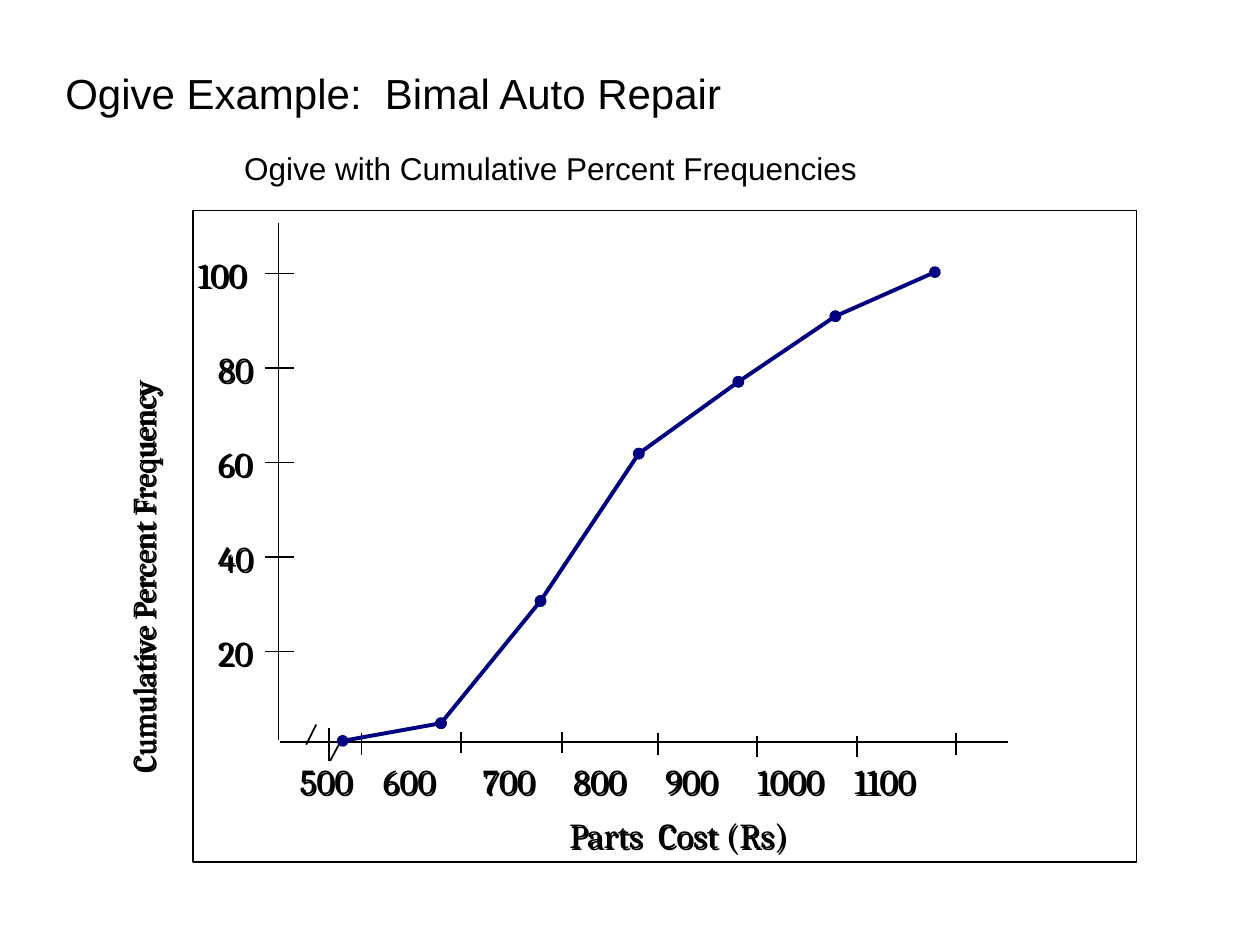
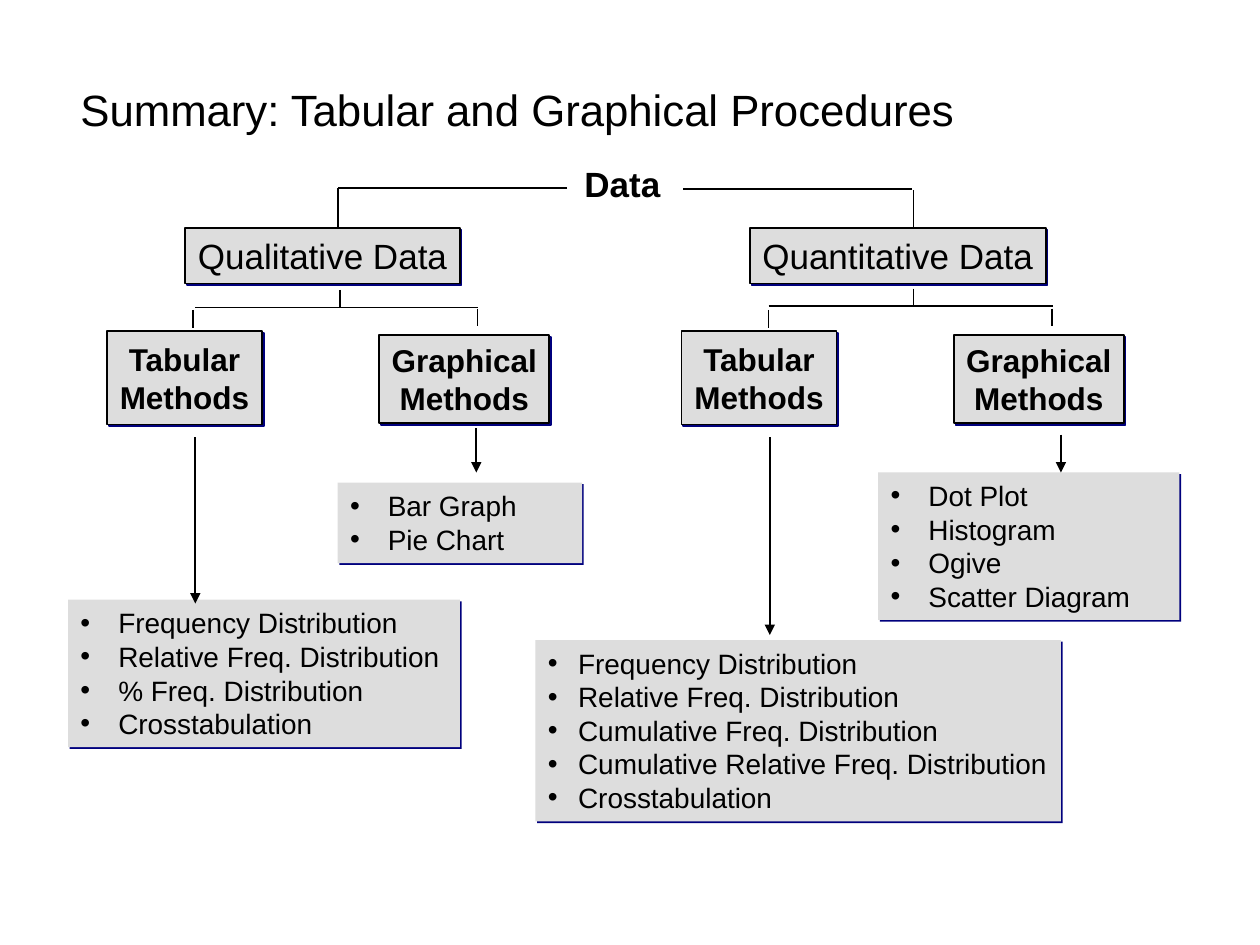
from pptx import Presentation
from pptx.dml.color import RGBColor
from pptx.enum.shapes import MSO_CONNECTOR, MSO_SHAPE
from pptx.enum.text import MSO_ANCHOR as Anchor, PP_ALIGN as Align
from pptx.oxml.ns import qn
from pptx.util import Inches, Pt
from lxml.etree import SubElement

BLACK = RGBColor(0x00, 0x00, 0x00)
NAVY = RGBColor(0x00, 0x00, 0x80)
SHADOW_NAVY = RGBColor(0x00, 0x00, 0x7D)
GREY = RGBColor(0xDD, 0xDD, 0xDD)
SANS, SERIF = "Arial", "Cambria"

# Ogive slide: content
OGIVE_TITLE = "Ogive Example:  Bimal Auto Repair"
OGIVE_SUBTITLE = "Ogive with Cumulative Percent Frequencies"
COST_TITLE = "Parts  Cost (Rs)"
FREQUENCY_TITLE = "Cumulative Percent Frequency"
PERCENTS = ["20", "40", "60", "80", "100"]
PERCENT_BOTTOM, PERCENT_STEP = 5.17, 0.75
COSTS = ["500", "600", "700", "800", "900", "1000", "1100"]
COST_STOPS = [0.66, 1.45, 2.17, 2.90, 3.63, 4.40]
COST_TICKS = [(2.87, 5.82), (3.66, 5.81), (4.46, 5.81), (5.22, 5.82),
              (6.01, 5.84), (6.80, 5.84), (7.59, 5.82)]
AXES = [(2.22, 5.89, 8.00, 5.89), (2.21, 5.87, 2.21, 1.77)]
AXIS_BREAK = [(2.43, 5.91, 2.51, 5.75), (2.62, 6.04, 2.70, 5.89),
              (2.61, 5.78, 2.61, 6.04)]
OGIVE_POINTS = [(2.72, 5.88), (3.50, 5.74), (4.29, 4.77), (5.07, 3.60),
                (5.86, 3.03), (6.63, 2.51), (7.42, 2.16)]

# Summary slide: content
SUMMARY_TITLE = "Summary: Tabular and Graphical Procedures"
DATA_TYPES = [("Qualitative Data", (1.47, 1.81, 2.18, 0.44)),
              ("Quantitative Data", (5.95, 1.81, 2.35, 0.44))]
METHODS = [("Tabular\nMethods", (0.85, 2.63, 1.23, 0.74)),
           ("Graphical\nMethods", (3.01, 2.66, 1.35, 0.70))]
METHODS_SHIFT = 4.56  # from the qualitative to the quantitative branch
# items, box, hanging indent
PROCEDURES = [
    (["Frequency Distribution", "Relative Freq. Distribution",
      "% Freq. Distribution", "Crosstabulation"],
     (0.54, 4.76, 3.11, 1.17), 0.3),
    (["Bar Graph", "Pie Chart"], (2.68, 3.83, 1.94, 0.64), 0.3),
    (["Frequency Distribution", "Relative Freq. Distribution",
      "Cumulative Freq. Distribution",
      "Cumulative Relative Freq. Distribution", "Crosstabulation"],
     (4.25, 5.08, 4.17, 1.44), 0.24),
    (["Dot Plot", "Histogram", "Ogive", "Scatter Diagram"],
     (6.97, 3.75, 2.39, 1.17), 0.3),
]
ARROWS = [(1.55, 3.47, 4.79), (6.11, 3.47, 5.04),
          (8.42, 3.45, 3.75), (3.78, 3.40, 3.75)]  # x, top, bottom
BRANCHES = [
    (4.50, 1.49, 2.68, 1.49), (2.68, 1.49, 2.68, 1.80),
    (7.24, 1.50, 5.42, 1.50), (7.25, 1.51, 7.25, 1.81),
    (2.70, 2.30, 2.70, 2.44), (7.25, 2.29, 7.25, 2.43),
    (1.55, 2.44, 3.79, 2.44), (6.10, 2.43, 8.36, 2.43),
    (1.53, 2.46, 1.53, 2.60), (3.79, 2.45, 3.79, 2.59),
    (6.10, 2.46, 6.10, 2.60), (8.35, 2.45, 8.35, 2.59),
]


def inches(box):
    return [Inches(length) for length in box]


def cast_shadow(shape, color):
    shape.shadow.inherit = False
    effects = shape._element.spPr.find(qn("a:effectLst"))
    outer = SubElement(effects, qn("a:outerShdw"), dist=str(Pt(1.4)),
                       dir="2700000", algn="ctr", rotWithShape="0")
    SubElement(outer, qn("a:srgbClr"), val=str(color))


def write(shape, text, size, font=SANS, bold=False, align=Align.LEFT,
          anchor=Anchor.TOP, wrap=True):
    frame = shape.text_frame
    frame.text = text
    frame.word_wrap = wrap
    frame.vertical_anchor = anchor
    for paragraph in frame.paragraphs:
        paragraph.alignment = align
        for run in paragraph.runs:
            run.font.size = Pt(size)
            run.font.name = font
            run.font.bold = bold
            run.font.color.rgb = BLACK


def add_label(slide, text, box, size, **style):
    label = slide.shapes.add_textbox(*inches(box))
    write(label, text, size, **style)
    return label


def add_axis_label(slide, text, box, size=20, wrap=True):
    label = add_label(slide, text, box, size, font=SERIF, wrap=wrap)
    cast_shadow(label, BLACK)
    return label


def add_title(slide, text, box, size):
    add_label(slide, text, box, size, anchor=Anchor.MIDDLE)


def add_box(slide, box, fill=None, outlined=True):
    panel = slide.shapes.add_shape(MSO_SHAPE.RECTANGLE, *inches(box))
    panel.shadow.inherit = False
    if fill is None:
        panel.fill.background()
    else:
        panel.fill.solid()
        panel.fill.fore_color.rgb = fill
        cast_shadow(panel, SHADOW_NAVY)
    if outlined:
        panel.line.color.rgb = BLACK
        panel.line.width = Pt(1)
    else:
        panel.line.fill.background()
    return panel


def add_line(slide, ends, color=BLACK, width=1, head=None, tail=None):
    line = slide.shapes.add_connector(MSO_CONNECTOR.STRAIGHT, *inches(ends))
    line.line.color.rgb = color
    line.line.width = Pt(width)
    outline = line.line._get_or_add_ln()
    for tag, kind in (("a:headEnd", head), ("a:tailEnd", tail)):
        if kind:
            SubElement(outline, qn(tag), type=kind)
    SubElement(line._element.spPr, qn("a:effectLst"))


def set_tab_stops(paragraph, stops):
    tabs = SubElement(paragraph._p.get_or_add_pPr(), qn("a:tabLst"))
    for stop in stops:
        SubElement(tabs, qn("a:tab"), pos=str(Inches(stop)), algn="l")


def add_bullets(shape, indent):
    for paragraph in shape.text_frame.paragraphs:
        properties = paragraph._p.get_or_add_pPr()
        properties.set("marL", str(Inches(indent)))
        properties.set("indent", str(-Inches(indent)))
        SubElement(properties, qn("a:buFont"), typeface=SANS)
        SubElement(properties, qn("a:buChar"), char="•")


def build_ogive(slide):
    add_box(slide, (1.53, 1.67, 7.49, 5.17))
    add_title(slide, OGIVE_TITLE, (0.42, 0.47, 8.91, 0.53), 24)
    add_label(slide, OGIVE_SUBTITLE, (1.84, 1.13, 7.6, 0.45), 18)

    # Axes with their ticks and labels
    for ends in AXES + AXIS_BREAK:
        add_line(slide, ends)
    for i, percent in enumerate(PERCENTS):
        y = PERCENT_BOTTOM - i * PERCENT_STEP
        add_line(slide, (2.1, y, 2.33, y))
        width = 0.19 + 0.16 * len(percent)
        add_axis_label(slide, percent, (2.14 - width, y - 0.21, width, 0.43),
                       wrap=False)
    for x, top in COST_TICKS:
        add_line(slide, (x, top, x, top + 0.17))
    costs = add_axis_label(slide, "\t".join(COSTS), (2.28, 5.98, 5.88, 0.43))
    set_tab_stops(costs.text_frame.paragraphs[0], COST_STOPS)
    add_axis_label(slide, COST_TITLE, (4.42, 6.41, 2.43, 0.43))
    frequency = add_axis_label(slide, FREQUENCY_TITLE,
                               (-0.81, 4.08, 3.88, 0.4), 18)
    frequency.rotation = 270

    # Curve
    for start, end in zip(OGIVE_POINTS, OGIVE_POINTS[1:]):
        add_line(slide, start + end, NAVY, 2.25, head="oval", tail="oval")


def build_summary(slide):
    add_title(slide, SUMMARY_TITLE, (0.54, 0.58, 8.91, 0.57), 25)
    centred = {"align": Align.CENTER, "wrap": False}
    add_label(slide, "Data", (4.54, 1.24, 0.8, 0.44), 20, bold=True, **centred)

    # Data types and their methods
    for data_type, box in DATA_TYPES:
        write(add_box(slide, box, GREY), data_type, 20,
              anchor=Anchor.MIDDLE, **centred)
    for method, (left, *rest) in METHODS:
        for shift in (0, METHODS_SHIFT):
            write(add_box(slide, (left + shift, *rest), GREY), method, 18,
                  bold=True, anchor=Anchor.MIDDLE, **centred)

    # Procedures
    for items, box, indent in PROCEDURES:
        panel = add_box(slide, box, GREY, outlined=False)
        write(panel, "\n".join(items), 16)
        add_bullets(panel, indent)

    # Tree lines and arrows
    for x, top, bottom in ARROWS:
        add_line(slide, (x, top, x, bottom), tail="triangle")
    for ends in BRANCHES:
        add_line(slide, ends)


def main():
    deck = Presentation()
    deck.slide_width, deck.slide_height = Inches(10), Inches(7.5)
    blank = deck.slide_layouts[6]
    for build in (build_ogive, build_summary):
        build(deck.slides.add_slide(blank))
    deck.save("out.pptx")


if __name__ == "__main__":
    main()
